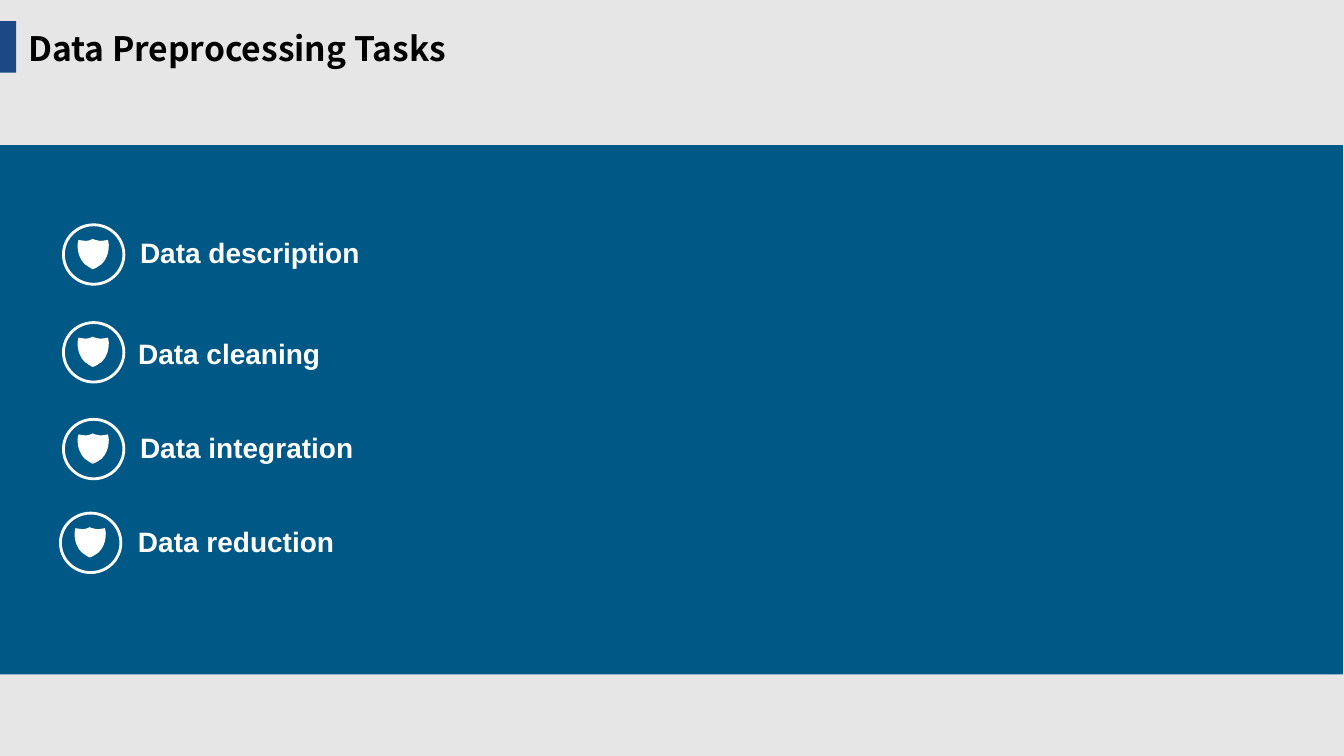
from dataclasses import dataclass

from lxml import etree
from pptx import Presentation
from pptx.dml.color import RGBColor
from pptx.enum import shapes, text
from pptx.oxml.ns import qn
from pptx.util import Inches, Pt

TITLE = "Data Preprocessing Tasks"
TASKS = [
    ("Data description", (0.63, 2.23), (1.39, 2.34, 9.23)),
    ("Data cleaning", (0.63, 3.2), (1.37, 3.34, 12.12)),
    ("Data integration", (0.63, 4.16), (1.39, 4.27, 9.23)),
    ("Data reduction", (0.6, 5.09), (1.37, 5.2, 9.23)),
]
RING_SIZE = (0.6, 0.59)
LABEL_HEIGHT = 0.33
SHIELD_OFFSET = (0.14, 0.14)
SHIELD_START = (0.3, 0.01)
SHIELD_CURVES = [
    ((0.3, 0.01), (0.26, 0.02), (0.22, 0.02)),
    ((0.19, 0.02), (0.15, 0), (0.15, 0)),
    ((0.15, 0), (0.12, 0.02), (0.08, 0.02)),
    ((0.05, 0.02), (0.01, 0.01), (0.01, 0.01)),
    ((0.01, 0.01), (0, 0.03), (0, 0.06)),
    ((0, 0.15), (0.03, 0.21), (0.07, 0.25)),
    ((0.1, 0.27), (0.14, 0.3), (0.15, 0.3)),
    ((0.17, 0.3), (0.21, 0.27), (0.24, 0.25)),
    ((0.28, 0.21), (0.31, 0.15), (0.31, 0.06)),
    ((0.31, 0.03), (0.3, 0.01), (0.3, 0.01)),
]


@dataclass(frozen=True)
class Theme:
    background: RGBColor = RGBColor.from_string("E7E6E6")
    panel: RGBColor = RGBColor.from_string("005886")
    accent: RGBColor = RGBColor.from_string("1C4885")
    title: RGBColor = RGBColor.from_string("000000")
    light: RGBColor = RGBColor.from_string("FFFFFF")
    title_font: str = "Noto Sans CJK SC"
    label_font: str = "Arial"
    title_size: int = 24
    label_size: int = 20
    ring_width: int = 2


THEME = Theme()


def style_shape(sp, fill=None, line=None):
    sp.shadow.inherit = False
    if fill is None:
        sp.fill.background()
    else:
        sp.fill.solid()
        sp.fill.fore_color.rgb = fill
    if line is None:
        sp.line.fill.background()
    else:
        sp.line.color.rgb = line
        sp.line.width = Pt(THEME.ring_width)


def add_bar(parent, box, color):
    sp = parent.add_shape(shapes.MSO_SHAPE.RECTANGLE, *map(Inches, box))
    style_shape(sp, fill=color)


def write(tf, words, font, size, color):
    tf.text = words
    p = tf.paragraphs[0]
    p.alignment = text.PP_ALIGN.LEFT
    p.line_spacing = 1.0
    p.space_before = Pt(0)
    r = p.runs[0]
    r.font.name = font
    r.font.size = Pt(size)
    r.font.bold = True
    r.font.color.rgb = color


def add_shield(parent, left, top):
    outline = parent.build_freeform(*map(Inches, SHIELD_START))
    ends = [tuple(map(Inches, curve[-1])) for curve in SHIELD_CURVES]
    outline.add_line_segments(ends, close=True)
    sp = outline.convert_to_shape(Inches(left), Inches(top))
    segments = list(sp.element.iter(qn("a:lnTo")))
    for segment, curve in zip(segments, SHIELD_CURVES):
        bezier = etree.Element(qn("a:cubicBezTo"))
        for x, y in curve:
            etree.SubElement(bezier, qn("a:pt"), x=str(Inches(x)), y=str(Inches(y)))
        segment.getparent().replace(segment, bezier)
    style_shape(sp, fill=THEME.light)


def add_icon(parent, left, top):
    icon = parent.add_group_shape().shapes
    add_shield(icon, left + SHIELD_OFFSET[0], top + SHIELD_OFFSET[1])
    ring = icon.add_shape(shapes.MSO_SHAPE.OVAL, *map(Inches, (left, top, *RING_SIZE)))
    style_shape(ring, line=THEME.light)


def add_label(parent, words, left, top, width):
    box = parent.add_textbox(*map(Inches, (left, top, width, LABEL_HEIGHT)))
    tf = box.text_frame
    tf.word_wrap = True
    tf.margin_left = tf.margin_right = tf.margin_top = tf.margin_bottom = 0
    write(tf, words, THEME.label_font, THEME.label_size, THEME.light)


def add_title(title):
    title.left, title.top, title.width, title.height = map(Inches, (0.18, 0.23, 4.46, 0.5))
    tf = title.text_frame
    tf.word_wrap = False
    tf.auto_size = text.MSO_AUTO_SIZE.NONE
    tf.vertical_anchor = text.MSO_ANCHOR.TOP
    write(tf, TITLE, THEME.title_font, THEME.title_size, THEME.title)


def main():
    prs = Presentation()
    prs.slide_width, prs.slide_height = Inches(13.34), Inches(7.5)
    s = prs.slides.add_slide(prs.slide_layouts.get_by_name("Title Only"))
    s.background.fill.solid()
    s.background.fill.fore_color.rgb = THEME.background
    add_title(s.shapes.title)
    add_bar(s.shapes, (0, 1.44, 13.33, 5.25), THEME.panel)
    add_bar(s.shapes, (0, 0.21, 0.16, 0.51), THEME.accent)
    for words, icon_at, label_at in TASKS:
        add_icon(s.shapes, *icon_at)
        add_label(s.shapes, words, *label_at)
    prs.save("out.pptx")


if __name__ == "__main__":
    main()
